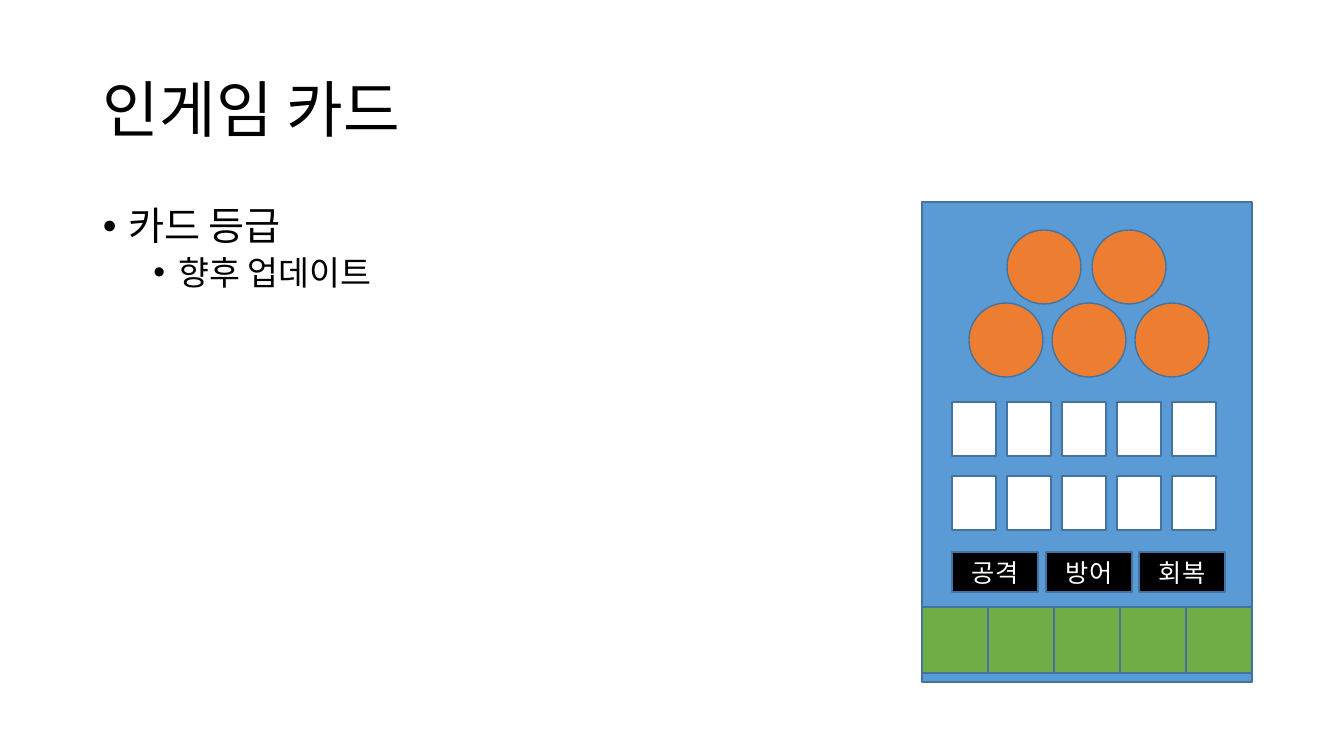
from lxml.etree import SubElement
from pptx import Presentation
from pptx.dml.color import RGBColor
from pptx.enum.shapes import MSO_SHAPE as Kind
from pptx.enum.text import MSO_ANCHOR as Anchor, PP_ALIGN as Align
from pptx.oxml.ns import qn
from pptx.util import Emu, Pt

SCALE = 914400 / 100.8
FONT = "Noto Sans CJK KR"
BLUE, ORANGE, GREEN = "5B9BD5", "ED7D31", "70AD47"
EDGE, WHITE, BLACK = "43739E", "FFFFFF", "000000"


def px(num):
    return Emu(round(num * SCALE))


def color(code):
    return RGBColor.from_string(code)


def put(obj, style):
    for key, value in style.items():
        setattr(obj, key, value)


def write(par, text, size, code, style):
    """Fill one paragraph with a single styled run."""
    run = par.add_run()
    run.text = text
    put(par, style)
    put(run.font, {"size": Pt(size), "name": FONT})
    run.font.color.rgb = color(code)
    SubElement(run.font._element, qn("a:ea"), typeface=FONT)


def bullet(par, left):
    """Hang a bullet a quarter inch before the text."""
    props = par._p.get_or_add_pPr()
    props.set("marL", str(left))
    props.set("indent", "-228600")
    SubElement(props, qn("a:buFont"), typeface="Arial")
    SubElement(props, qn("a:buChar"), char="•")


def frame(slide, box, anchor):
    text = slide.shapes.add_textbox(*map(px, box)).text_frame
    put(text, {"word_wrap": True, "vertical_anchor": anchor})
    return text


def block(group, kind, box, fill):
    shape = group.shapes.add_shape(kind, *map(px, box))
    shape.shadow.inherit = False
    shape.fill.solid()
    shape.fill.fore_color.rgb = color(fill)
    shape.line.color.rgb = color(EDGE)
    shape.line.width = Pt(1)
    return shape


def row(group, kind, start, step, count, size, fill):
    """Place equal shapes at a fixed step."""
    left, top = start
    for i in range(count):
        block(group, kind, (left + i * step, top, *size), fill)


def button(group, left, label):
    text = block(group, Kind.RECTANGLE, (left, 552, 86, 40), BLACK).text_frame
    put(text, {"vertical_anchor": Anchor.MIDDLE, "word_wrap": True})
    write(text.paragraphs[0], label, 18, WHITE, {"alignment": Align.CENTER})


def main():
    deck = Presentation()
    put(deck, {"slide_width": px(1344), "slide_height": px(756)})
    slide = deck.slides.add_slide(deck.slide_layouts[6])

    # Title
    title = frame(slide, (93, 40, 1159, 146), Anchor.MIDDLE)
    write(title.paragraphs[0], "인게임 카드", 44, BLACK, {"line_spacing": 0.9})

    # Bullet list
    body = frame(slide, (93, 202, 1159, 480), Anchor.TOP)
    items = [("카드 등급", 28, 10, 228600), ("향후 업데이트", 24, 5, 685800)]
    for level, (text, size, space, left) in enumerate(items):
        par = body.add_paragraph() if level else body.paragraphs[0]
        style = {"level": level, "line_spacing": 0.9, "space_before": Pt(space)}
        write(par, text, size, BLACK, style)
        bullet(par, left)

    # Game screen
    game = slide.shapes.add_group_shape()
    block(game, Kind.RECTANGLE, (922, 202, 330, 480), BLUE)

    # Round tokens
    row(game, Kind.OVAL, (969, 303), 83, 3, (74, 74), ORANGE)
    row(game, Kind.OVAL, (1007, 230), 85, 2, (74, 74), ORANGE)

    # Bottom slots
    row(game, Kind.RECTANGLE, (922, 607), 66, 5, (66, 66), GREEN)

    # Cards
    for top in (402, 476):
        row(game, Kind.RECTANGLE, (952, top), 55, 5, (44, 54), WHITE)

    # Action buttons
    for left, label in ((952, "공격"), (1046, "방어"), (1139, "회복")):
        button(game, left, label)

    deck.save("out.pptx")


main()
